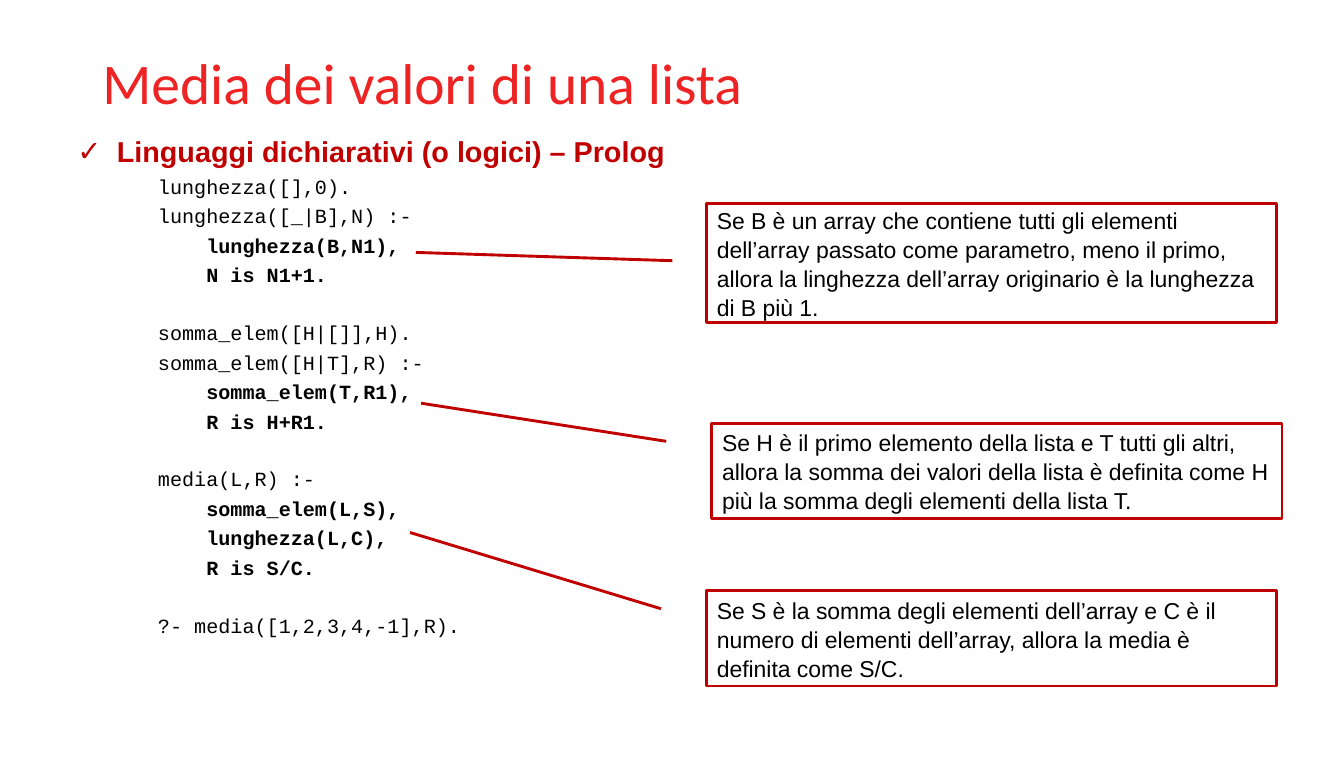
import pptx
import pptx.util
import pptx.dml.color
import pptx.enum.shapes
import pptx.enum.text
import pptx.oxml
import pptx.oxml.ns

Cm, Pt = pptx.util.Cm, pptx.util.Pt
RGBColor = pptx.dml.color.RGBColor
ANCHOR = pptx.enum.text.MSO_ANCHOR
ALIGN = pptx.enum.text.PP_ALIGN
RED = RGBColor(0xEE, 0x23, 0x24)
DARK = RGBColor(0xC0, 0x00, 0x00)
BLACK = RGBColor(0, 0, 0)
GAP = 3.75
PITCH = 19.6

CODE = [
    ["lunghezza([],0).",
     "lunghezza([_|B],N) :-",
     "    lunghezza(B,N1),",
     "    N is N1+1."],
    ["somma_elem([H|[]],H).",
     "somma_elem([H|T],R) :-",
     "    somma_elem(T,R1),",
     "    R is H+R1."],
    ["media(L,R) :-",
     "    somma_elem(L,S),",
     "    lunghezza(L,C),",
     "    R is S/C."],
    ["?- media([1,2,3,4,-1],R)."],
]

NOTES = [
    ((17.35, 5, 14, 2.92), (0.48, -0.06, 0.41, -0.51),
     "Se B è un array che contiene tutti gli elementi dell’array passato come "
     "parametro, meno il primo, allora la linghezza dell’array originario è la "
     "lunghezza di B più 1."),
    ((17.48, 10.39, 14, 2.34), (0.19, -0.08, -0.21, -0.51),
     "Se H è il primo elemento della lista e T tutti gli altri, allora la somma "
     "dei valori della lista è definita come H più la somma degli elementi "
     "della lista T."),
    ((17.35, 14.5, 14, 2.34), (0.19, -0.08, -0.61, -0.52),
     "Se S è la somma degli elementi dell’array e C è il numero di elementi "
     "dell’array, allora la media è definita come S/C."),
]


def style(para, name, size, color, bold=False):
    """Format every run of a paragraph."""
    para.alignment = ALIGN.LEFT
    for run in para.runs:
        run.font.name = name
        run.font.size = Pt(size)
        run.font.bold = bold
        run.font.color.rgb = color


def indent(para, left, first=0, mark=None):
    """Set the indents of a paragraph and its bullet, if any."""
    props = para._p.get_or_add_pPr()
    props.set("marL", str(Cm(left)))
    props.set("indent", str(Cm(first)))
    if mark:
        space = pptx.oxml.ns.nsdecls("a")
        props.append(pptx.oxml.parse_xml(f'<a:buFont {space} typeface="Arial"/>'))
        props.append(pptx.oxml.parse_xml(f'<a:buChar {space} char="{mark}"/>'))


def add_title(slide, box, text):
    """Place and format the title."""
    title = slide.shapes.title
    title.left, title.top, title.width, title.height = map(Cm, box)
    frame = title.text_frame
    frame.text = text
    frame.auto_size = pptx.enum.text.MSO_AUTO_SIZE.NONE
    frame.vertical_anchor = ANCHOR.TOP
    style(frame.paragraphs[0], "Calibri", 40, RED)


def add_code(slide, box, head, blocks):
    """Place a bulleted heading with blocks of code below it."""
    frame = slide.shapes.add_textbox(*map(Cm, box)).text_frame
    frame.word_wrap = True
    frame.text = head
    indent(frame.paragraphs[0], 0.97, -0.97, "✓")
    style(frame.paragraphs[0], "Arial", 20, DARK, True)
    for order, block in enumerate(blocks):
        for row, line in enumerate(block):
            para = frame.add_paragraph()
            para.text = line
            indent(para, 1.98)
            para.space_before = Pt(GAP + PITCH if order and not row else GAP)
            style(para, "Courier New", 14, BLACK, line.startswith(" "))


def add_note(slide, box, tail, text):
    """Place a callout whose line ends are given as shares of its box."""
    kind = pptx.enum.shapes.MSO_SHAPE.LINE_CALLOUT_1
    note = slide.shapes.add_shape(kind, *map(Cm, box))
    for index, share in enumerate(tail):
        note.adjustments[index] = share
    note.shadow.inherit = False
    note.fill.background()
    note.line.color.rgb = DARK
    note.line.width = Pt(2)
    frame = note.text_frame
    frame.word_wrap = True
    frame.vertical_anchor = ANCHOR.MIDDLE
    frame.text = text
    frame.paragraphs[0].line_spacing = 1.05
    style(frame.paragraphs[0], "Arial", 16, BLACK)


def main():
    """Build the slide and save it."""
    deck = pptx.Presentation()
    deck.slide_width, deck.slide_height = Cm(33), Cm(19)
    slide = deck.slides.add_slide(deck.slide_layouts[5])
    add_title(slide, (2.26, 1.02, 28.47, 3.68), "Media dei valori di una lista")
    add_code(slide, (1.65, 3.17, 29.7, 12.55),
             "Linguaggi dichiarativi (o logici) – Prolog", CODE)
    for box, tail, text in NOTES:
        add_note(slide, box, tail, text)
    deck.save("out.pptx")


if __name__ == "__main__":
    main()
